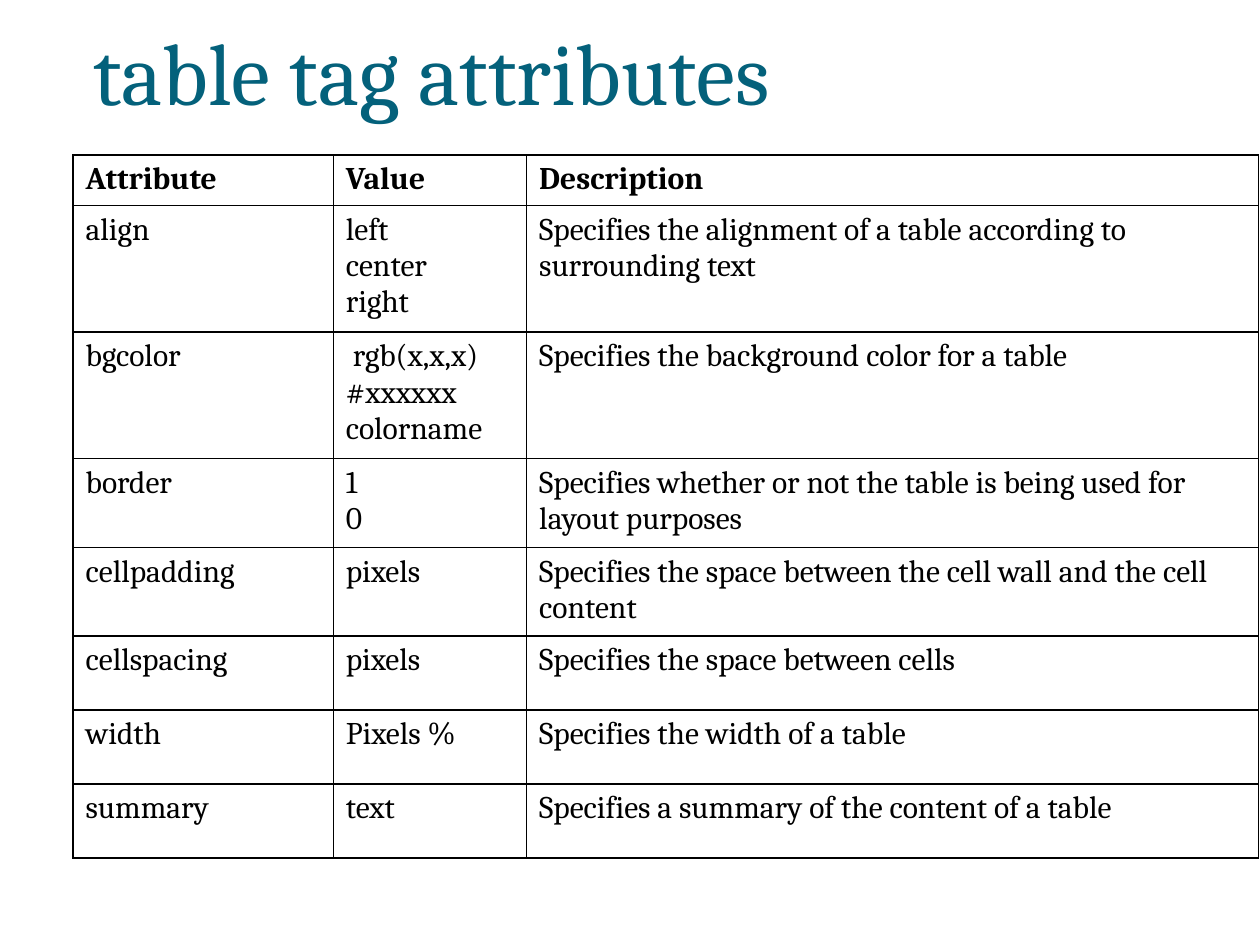
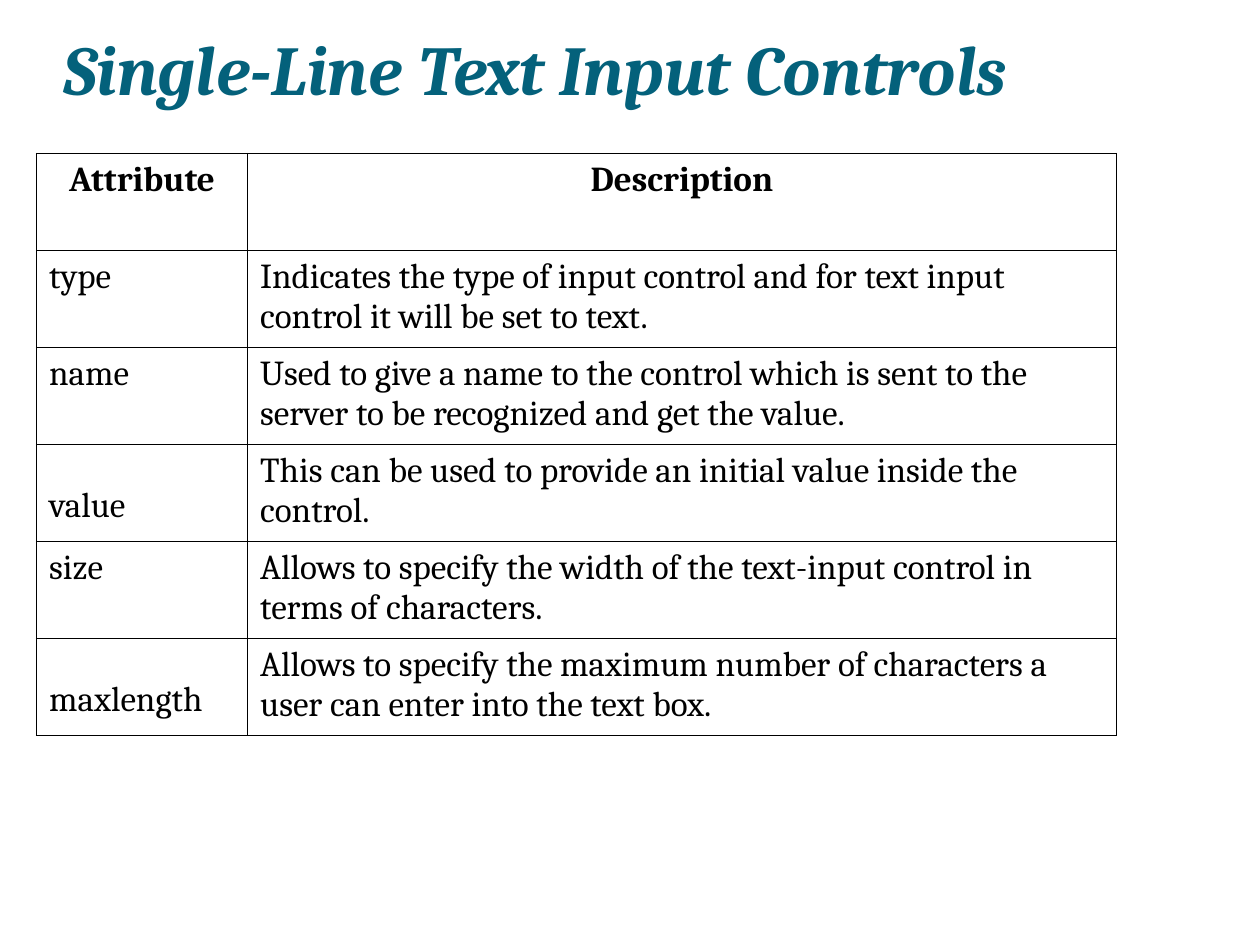
from lxml import etree
from pptx import Presentation
from pptx.dml.color import RGBColor
from pptx.enum.text import MSO_ANCHOR, PP_ALIGN
from pptx.oxml.ns import qn
from pptx.util import Inches, Pt

TOP, BOTTOM = MSO_ANCHOR.TOP, MSO_ANCHOR.BOTTOM
LEFT, CENTER = PP_ALIGN.LEFT, PP_ALIGN.CENTER

FONT = "Cambria"
TITLE_COLOR = "04617B"
TEXT_COLOR = "000000"
BORDER_SIDES = ("a:lnL", "a:lnR", "a:lnT", "a:lnB")

COLUMNS, ROWS = 100, 75
SLIDE_WIDTH, SLIDE_HEIGHT = Inches(10), Inches(7.5)

TABLE_TAG_ROWS = [
    ("Attribute", "Value", "Description"),
    ("align", "left\ncenter\nright",
     "Specifies the alignment of a table according to surrounding text"),
    ("bgcolor", " rgb(x,x,x)\n#xxxxxx\ncolorname",
     "Specifies the background color for a table"),
    ("border", "1\n0",
     "Specifies whether or not the table is being used for layout purposes"),
    ("cellpadding", "pixels",
     "Specifies the space between the cell wall and the cell content"),
    ("cellspacing", "pixels", "Specifies the space between cells"),
    ("width", "Pixels %", "Specifies the width of a table"),
    ("summary", "text", "Specifies a summary of the content of a table"),
]

TEXT_INPUT_ROWS = [
    ("Attribute", "Description"),
    ("type", "Indicates the type of input control and for text input control "
             "it will be set to text."),
    ("name", "Used to give a name to the control which is sent to the server "
             "to be recognized and get the value."),
    ("value", "This can be used to provide an initial value inside the control."),
    ("size", "Allows to specify the width of the text-input control in terms "
             "of characters."),
    ("maxlength", "Allows to specify the maximum number of characters a user "
                  "can enter into the text box."),
]
LOWERED_ATTRIBUTES = ("value", "maxlength")


def across(columns):
    """Return the length of a number of grid columns."""
    return round(SLIDE_WIDTH * columns / COLUMNS)


def down(rows):
    """Return the length of a number of grid rows."""
    return round(SLIDE_HEIGHT * rows / ROWS)


def color(hex_value):
    """Turn a hex string into a colour."""
    return RGBColor.from_string(hex_value)


def write(frame, text, size, hex_value, bold=False, italic=False, align=LEFT):
    """Write each line of text as a paragraph with one run."""
    for index, line in enumerate(text.split("\n")):
        paragraph = frame.add_paragraph() if index else frame.paragraphs[0]
        paragraph.alignment = align
        run = paragraph.add_run()
        run.text = line
        run.font.name = FONT
        run.font.size = Pt(size)
        run.font.bold = bold
        run.font.italic = italic
        run.font.color.rgb = color(hex_value)


def add_title(slide, text, area, size, emphasis=False, anchor=TOP, insets=(0.1, 0.05, 0.1, 0.05)):
    """Add a slide title in the shared title colour."""
    left, top, width, height = area
    title = slide.shapes.add_textbox(across(left), down(top), across(width), down(height))
    frame = title.text_frame
    frame.word_wrap = True
    frame.vertical_anchor = anchor
    (frame.margin_left, frame.margin_top,
     frame.margin_right, frame.margin_bottom) = map(Inches, insets)
    write(frame, text, size, TITLE_COLOR, emphasis, emphasis)


def outline(cell):
    """Draw a thin line on all four sides of a cell."""
    properties = cell._tc.get_or_add_tcPr()
    for side in BORDER_SIDES:
        line = etree.SubElement(properties, qn(side), w=str(Pt(1)))
        fill = etree.SubElement(line, qn("a:solidFill"))
        etree.SubElement(fill, qn("a:srgbClr"), val=TEXT_COLOR)


def add_attribute_table(slide, entries, corner, widths, heights, size, header_align=LEFT):
    """Add an outlined attribute table with a bold header row and return it."""
    left, top = corner
    table = slide.shapes.add_table(
        len(entries), len(widths), across(left), down(top),
        across(sum(widths)), down(sum(heights))).table
    table.first_row = table.horz_banding = False
    for column, width in zip(table.columns, widths):
        column.width = across(width)
    for index, (row, height, texts) in enumerate(zip(table.rows, heights, entries)):
        row.height = down(height)
        header = index == 0
        for cell, text in zip(row.cells, texts):
            outline(cell)
            cell.fill.background()
            write(cell.text_frame, text, size, TEXT_COLOR, bold=header,
                  align=header_align if header else LEFT)
    return table


def lower_text(cell):
    """Set the text of a cell on its second line."""
    cell.vertical_anchor = BOTTOM
    cell.margin_bottom = Inches(0.12)


def build_table_tag_slide(slide):
    """Build the slide on the attributes of the table tag."""
    add_title(slide, "table tag attributes", (6.4, 0.9, 65.2, 9.3), 50)
    add_attribute_table(slide, TABLE_TAG_ROWS, (5.8, 12.3), (20.65, 15.35, 58.1),
                        (4, 10.05, 10.05, 7.05, 7.05, 5.87, 5.87, 5.87), 18)


def build_text_input_slide(slide):
    """Build the slide on the attributes of text input controls."""
    add_title(slide, "Single-Line Text Input Controls", (5, 2.4, 89.9, 6.3), 40,
              emphasis=True, anchor=BOTTOM, insets=(0, 0.05, 0, 0))
    table = add_attribute_table(slide, TEXT_INPUT_ROWS, (2.9, 12.2), (16.75, 68.95),
                                [7.7] * len(TEXT_INPUT_ROWS), 20, CENTER)
    for index, (attribute, _) in enumerate(TEXT_INPUT_ROWS):
        if attribute in LOWERED_ATTRIBUTES:
            lower_text(table.cell(index, 0))


def main():
    """Build and save the presentation."""
    deck = Presentation()
    deck.slide_width, deck.slide_height = SLIDE_WIDTH, SLIDE_HEIGHT
    blank = deck.slide_layouts[6]
    for build in (build_table_tag_slide, build_text_input_slide):
        build(deck.slides.add_slide(blank))
    deck.save("out.pptx")


if __name__ == "__main__":
    main()
